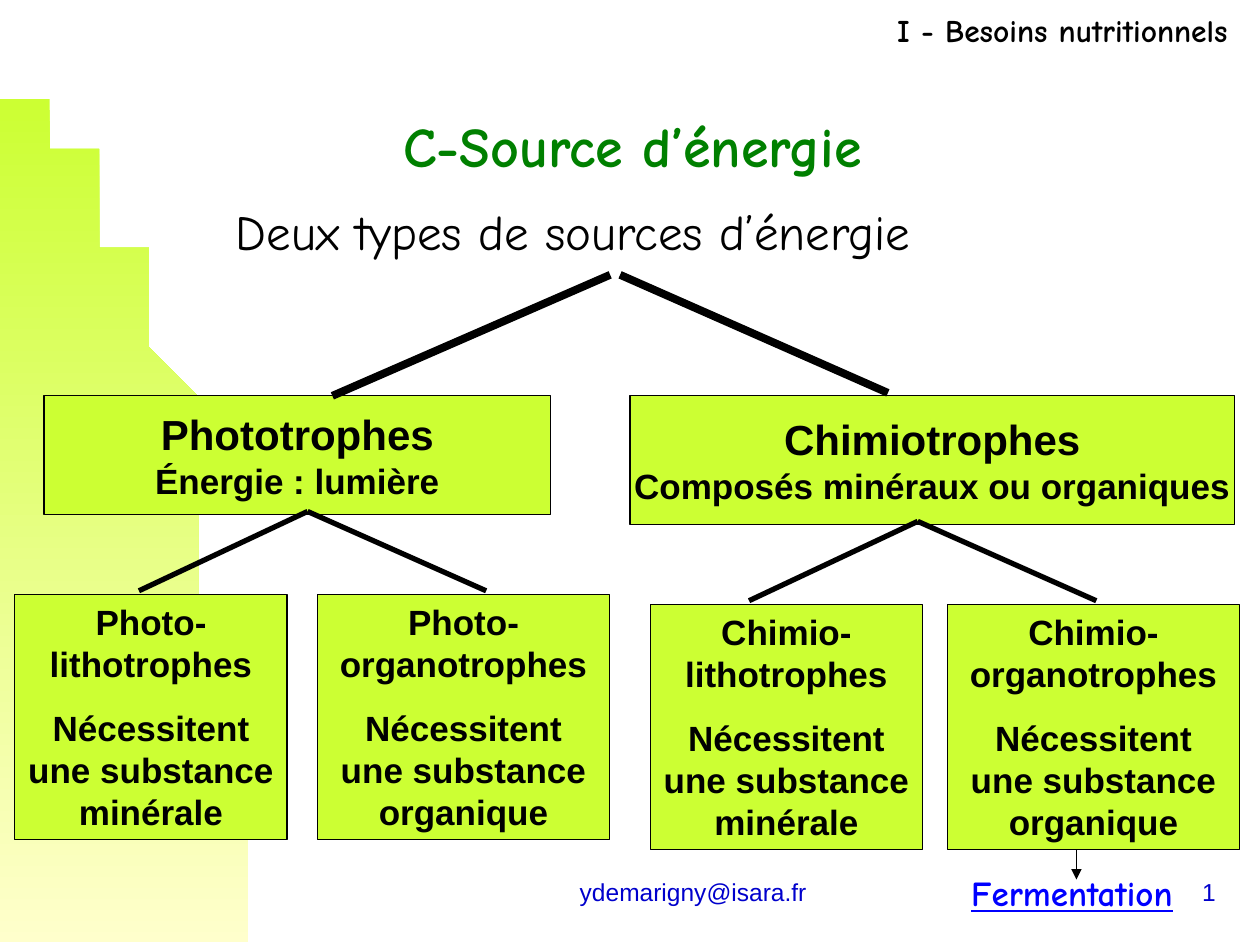
import math

from lxml import etree
from pptx import Presentation
from pptx.dml.color import RGBColor
from pptx.enum.shapes import MSO_CONNECTOR, MSO_SHAPE
from pptx.enum.text import MSO_ANCHOR, MSO_AUTO_SIZE, PP_ALIGN
from pptx.oxml.ns import qn
from pptx.util import Cm, Pt

LIME = RGBColor(0xCC, 0xFF, 0x33)
CREAM = RGBColor(0xFF, 0xFF, 0xCC)
BLACK = RGBColor(0, 0, 0)
GREEN = RGBColor(0, 0x80, 0)
NAVY = RGBColor(0, 0, 0xCC)
BLUE = RGBColor(0, 0, 0xFF)
SANS, HAND = "Arial", "Comic Neue"
LEFT, CENTER, RIGHT = PP_ALIGN.LEFT, PP_ALIGN.CENTER, PP_ALIGN.RIGHT
TOP, MIDDLE = MSO_ANCHOR.TOP, MSO_ANCHOR.MIDDLE
RECT, STRAIGHT = MSO_SHAPE.RECTANGLE, MSO_CONNECTOR.STRAIGHT
NO_FIT = MSO_AUTO_SIZE.NONE


class SlideBuilder:
    """Draws styled elements on one slide; all lengths are in centimetres."""

    def __init__(self, slide):
        self.s = slide

    def set_text(self, sp, lines, font, color, bold=False, underline=None,
                 align=LEFT, anchor=TOP, wrap=True, gap=0):
        """Fill sp with (text, size) paragraphs, gap points apart."""
        tf = sp.text_frame
        tf.auto_size, tf.word_wrap, tf.vertical_anchor = NO_FIT, wrap, anchor
        for i, (text, size) in enumerate(lines):
            p = tf.add_paragraph() if i else tf.paragraphs[0]
            p.text, p.alignment = text, align
            p.space_before = Pt(gap if i else 0)
            f = p.font
            f.name, f.size, f.bold, f.underline = font, Pt(size), bold, underline
            f.color.rgb = color

    def placeholder(self, index, box, text, size, font, color, **style):
        sp = self.s.placeholders[index]
        sp.left, sp.top, sp.width, sp.height = map(Cm, box)
        self.set_text(sp, [(text, size)], font, color, **style)
        return sp

    def body(self, *args, **style):
        sp = self.placeholder(1, *args, **style)
        pPr = sp.text_frame.paragraphs[0]._p.get_or_add_pPr()
        pPr.set("marL", "0")
        pPr.set("indent", "0")
        bullet = etree.Element(qn("a:buNone"))
        pPr.insert_element_before(bullet, "a:tabLst", "a:defRPr", "a:extLst")

    def text(self, box, text, size, font, color, **style):
        sp = self.s.shapes.add_textbox(*map(Cm, box))
        self.set_text(sp, [(text, size)], font, color, **style)

    def box(self, box, lines, **style):
        sp = self.s.shapes.add_shape(RECT, *map(Cm, box))
        sp.shadow.inherit = False
        sp.fill.solid()
        sp.fill.fore_color.rgb = LIME
        sp.line.color.rgb = BLACK
        sp.line.width = Pt(0.75)
        self.set_text(sp, lines, SANS, BLACK, bold=True, align=CENTER, **style)

    def line(self, start, end, width, arrow=False):
        c = self.s.shapes.add_connector(STRAIGHT, *map(Cm, start + end))
        c.line.color.rgb = BLACK
        c.line.width = Pt(width)
        if arrow:
            ln = c._element.spPr.find(qn("a:ln"))
            etree.SubElement(ln, qn("a:tailEnd"), type="triangle")
        etree.SubElement(c._element.spPr, qn("a:effectLst"))

    def quarter_ellipse(self, top, width, bottom, steps=60):
        """Gradient quarter ellipse rising from the bottom left corner."""
        angles = [math.pi / 2 * i / steps for i in range(steps + 1)]
        curve = [(width * math.sin(a), bottom - (bottom - top) * math.cos(a))
                 for a in angles]
        fb = self.s.shapes.build_freeform(0, bottom, scale=Cm(1))
        fb.add_line_segments(curve, close=True)
        sp = fb.convert_to_shape()
        sp.shadow.inherit = False
        sp.line.fill.background()
        sp.fill.gradient()
        sp.fill.gradient_angle = 270
        for stop, color, place in zip(sp.fill.gradient_stops, (LIME, CREAM), (0, 1)):
            stop.color.rgb = color
            stop.position = place


def main():
    prs = Presentation()
    prs.slide_width, prs.slide_height = Cm(25.4), Cm(19.05)
    b = SlideBuilder(prs.slides.add_slide(prs.slide_layouts[1]))

    b.quarter_ellipse(2.34, 4.88, 19.05)
    b.placeholder(0, (7.87, 2.13, 9.83, 1.63), "C-Source d’énergie", 32,
                  HAND, GREEN, bold=True, wrap=False)
    b.body((4.5, 3.94, 17.2, 1.45), "Deux types de sources d’énergie", 28,
           HAND, BLACK)
    b.text((12.5, 0.1, 12.5, 1.02), "I - Besoins nutritionnels", 18,
           HAND, BLACK, bold=True, align=RIGHT)

    families = [
        ("Photo", "Énergie : lumière", (0.89, 7.98, 10.21, 2.39),
         (0.3, 6.4), 11.99, (6.2, 10.31)),
        ("Chimio", "Composés minéraux ou organiques", (12.7, 7.98, 12.19, 2.59),
         (13.11, 19.1), 12.19, (18.5, 10.51)),
    ]
    kinds = [("litho", "minérale", 5.49, -3.4), ("organo", "organique", 5.89, 3.6)]
    for prefix, source, head, lefts, top, (x, y) in families:
        b.box(head, [(f"{prefix}trophes", 24), (source, 20)],
              anchor=MIDDLE, wrap=False)
        for left, (kind, matter, width, dx) in zip(lefts, kinds):
            b.box((left, top, width, 4.93),
                  [(f"{prefix}-{kind}trophes", 20),
                   (f"Nécessitent une substance {matter}", 20)], gap=12.5)
            b.line((x, y), (x + dx, y + 1.6), 3)

    b.line((12.3, 5.54), (6.7, 7.98), 4.5)
    b.line((12.5, 5.54), (17.9, 7.92), 4.5)
    b.line((21.7, 17.12), (21.7, 17.73), 0.75, arrow=True)

    b.text((19.33, 17.45, 4.57, 1.12), "Fermentation", 20, HAND, BLUE,
           bold=True, underline=True, wrap=False)
    b.text((9.95, 17.35, 8.05, 1.27), "ydemarigny@isara.fr", 14, SANS, NAVY,
           align=CENTER, anchor=MIDDLE)
    b.text((19.48, 17.35, 5.28, 1.27), "1", 14, SANS, NAVY,
           align=RIGHT, anchor=MIDDLE)
    prs.save("out.pptx")


if __name__ == "__main__":
    main()
